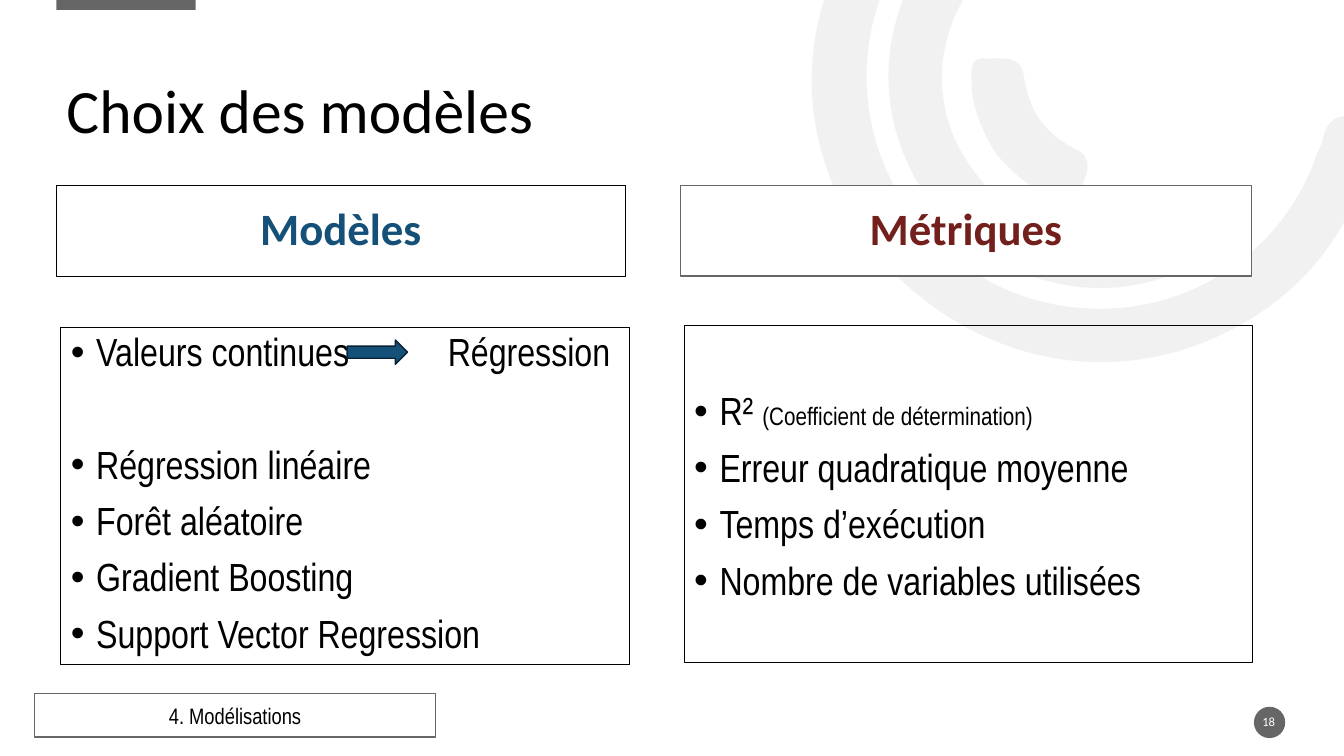
from lxml.etree import SubElement
from pptx import Presentation
from pptx.dml.color import RGBColor
from pptx.enum.shapes import MSO_SHAPE
from pptx.enum.text import MSO_ANCHOR, MSO_AUTO_SIZE, PP_ALIGN
from pptx.oxml.ns import qn
from pptx.util import Cm, Pt

CM_PER_INCH = 2.54
GREY = "666666"
BLUE = "155078"
BLACK = "000000"
WHITE = "FFFFFF"


def color(value):
    return RGBColor.from_string(value)


def add_run(paragraph, text, size, name, value, bold=False):
    run = paragraph.add_run()
    run.text = text
    run.font.size = Pt(size)
    run.font.name = name
    run.font.bold = bold
    run.font.color.rgb = color(value)


presentation = Presentation()
presentation.slide_width = Cm(33.87)
presentation.slide_height = Cm(19.05)
slide = presentation.slides.add_slide(presentation.slide_layouts[4])
title, models_heading, models_list, metrics_heading, metrics_list = slide.placeholders

swirls = [
    ((8.51, 2.29), [
        (7.99, 1.49, 7.87, 0.5, 8.38, -0.5),
        (8.9, -1.52, 9.76, -2.03, 10.9, -2.07),
        (11.05, -2.07, 11.21, -2.1, 11.31, -1.95),
        (11.44, -1.75, 11.27, -1.54, 10.98, -1.54),
        (9.67, -1.54, 8.65, -0.59, 8.6, 0.68),
        (8.56, 1.81, 9.36, 2.81, 10.46, 3.02),
        (11.6, 3.24, 12.7, 2.61, 13.07, 1.52),
        (13.09, 1.48, 13.11, 1.44, 13.12, 1.4),
        (13.16, 1.19, 13.27, 1.11, 13.49, 1.17),
        (13.73, 1.24, 13.67, 1.41, 13.61, 1.56),
        (13.34, 2.45, 12.78, 3.07, 11.91, 3.41),
        (10.7, 3.87, 9.36, 3.45, 8.51, 2.29),
    ]),
    ((9.22, 1.99), [
        (8.62, 1.15, 8.69, 0.07, 9.4, -0.68),
        (9.51, -0.79, 9.62, -0.95, 9.8, -0.78),
        (9.95, -0.64, 9.97, -0.5, 9.79, -0.32),
        (9.25, 0.26, 9.2, 1.08, 9.65, 1.68),
        (10.08, 2.29, 10.88, 2.49, 11.61, 2.15),
        (11.82, 2.05, 11.93, 2.12, 12.03, 2.29),
        (12.13, 2.5, 11.97, 2.56, 11.83, 2.63),
        (10.96, 3.1, 9.83, 2.82, 9.22, 1.99),
    ]),
    ((9.87, 1.51), [
        (9.75, 1.3, 9.64, 1.07, 9.64, 0.82),
        (9.64, 0.73, 9.61, 0.57, 9.76, 0.58),
        (9.92, 0.59, 10.13, 0.53, 10.16, 0.76),
        (10.21, 1.1, 10.36, 1.32, 10.67, 1.48),
        (10.88, 1.57, 10.76, 1.76, 10.72, 1.89),
        (10.68, 2.06, 10.55, 1.98, 10.45, 1.94),
        (10.21, 1.87, 10.03, 1.7, 9.87, 1.51),
    ]),
]
for start, curves in swirls:
    corners = [[Cm(value * CM_PER_INCH) for value in point] for point in [start] + [curve[4:] for curve in curves]]
    builder = slide.shapes.build_freeform(*corners[0])
    builder.add_line_segments(corners[1:], close=True)
    swirl = builder.convert_to_shape()
    segments = list(swirl.element.iter(qn("a:lnTo")))
    for segment, curve in zip(segments, curves):
        segment.tag = qn("a:cubicBezTo")
        for index, (x, y) in enumerate((curve[:2], curve[2:4])):
            control = SubElement(segment, qn("a:pt"))
            control.set("x", str(Cm(x * CM_PER_INCH) - swirl.left))
            control.set("y", str(Cm(y * CM_PER_INCH) - swirl.top))
            segment.insert(index, control)
    swirl.shadow.inherit = False
    swirl.fill.solid()
    swirl.fill.fore_color.rgb = color("E7E6E6")
    swirl.line.fill.background()
    fill_color = swirl.element.spPr.find(qn("a:solidFill"))[0]
    SubElement(fill_color, qn("a:alpha"), val="53000")
    title.element.addprevious(swirl.element)

preset_shapes = [
    (MSO_SHAPE.RECTANGLE, 1.42, -0.05, 3.51, 0.3, GREY, None),
    (MSO_SHAPE.OVAL, 31.6, 17.81, 0.79, 0.79, GREY, None),
    (MSO_SHAPE.RIGHT_ARROW, 8.75, 8.57, 1.52, 0.61, BLUE, "092335"),
    (MSO_SHAPE.RECTANGLE, 0.87, 17.48, 10.11, 1.09, WHITE, GREY),
]
for kind, left, top, width, height, fill, line in preset_shapes:
    shape = slide.shapes.add_shape(kind, Cm(left), Cm(top), Cm(width), Cm(height))
    shape.shadow.inherit = False
    shape.fill.solid()
    shape.fill.fore_color.rgb = color(fill)
    if line:
        shape.line.color.rgb = color(line)
        shape.line.width = Pt(1)
    else:
        shape.line.fill.background()
section_label = shape

page_number = slide.shapes.add_textbox(Cm(31.57), Cm(17.93), Cm(0.81), Cm(0.51))
frame = page_number.text_frame
frame.margin_left = frame.margin_right = frame.margin_top = frame.margin_bottom = 0

metrics_heading.fill.solid()
metrics_heading.fill.fore_color.rgb = color(WHITE)

placements = [
    (title, 1.42, 1.02, 30.1, 3.68, None, None),
    (models_heading, 1.42, 4.67, 14.34, 2.29, BLACK, 0.75),
    (metrics_heading, 17.15, 4.67, 14.39, 2.29, GREY, 1),
    (models_list, 1.53, 8.26, 14.33, 8.48, BLACK, 0.75),
    (metrics_list, 17.24, 8.2, 14.33, 8.5, BLACK, 0.75),
]
for shape, left, top, width, height, line, line_width in placements:
    shape.left, shape.top = Cm(left), Cm(top)
    shape.width, shape.height = Cm(width), Cm(height)
    if line:
        shape.line.color.rgb = color(line)
        shape.line.width = Pt(line_width)

single_lines = [
    (title, "Choix des modèles", 44, "Calibri", BLACK, False, PP_ALIGN.LEFT, 0.9),
    (models_heading, "Modèles", 32, "Calibri", BLUE, True, PP_ALIGN.CENTER, 0.9),
    (metrics_heading, "Métriques", 32, "Calibri", "731F1C", True, PP_ALIGN.CENTER, 0.9),
    (section_label, "4. Modélisations", 16, "Arial Narrow", BLACK, False, PP_ALIGN.CENTER, 1.0),
    (page_number, "18", 9, "Calibri", WHITE, False, PP_ALIGN.CENTER, 1.0),
]
for shape, text, size, name, value, bold, alignment, spacing in single_lines:
    frame = shape.text_frame
    frame.word_wrap = True
    frame.auto_size = MSO_AUTO_SIZE.NONE
    frame.vertical_anchor = MSO_ANCHOR.MIDDLE
    paragraph = frame.paragraphs[0]
    paragraph.alignment = alignment
    paragraph.line_spacing = spacing
    paragraph.space_before = Pt(0)
    add_run(paragraph, text, size, name, value, bold)

lists = [
    (models_list, 0.13, [
        (0, [("Valeurs continues\tRégression", 28)]),
        (50, [("Régression linéaire", 28)]),
        (10, [("Forêt aléatoire", 28)]),
        (10, [("Gradient Boosting", 28)]),
        (10, [("Support Vector Regression", 28)]),
    ]),
    (metrics_list, 1.68, [
        (0, [("R² ", 28), ("(Coefficient de détermination)", 18)]),
        (10, [("Erreur quadratique moyenne", 28)]),
        (10, [("Temps d’exécution", 28)]),
        (10, [("Nombre de variables utilisées", 28)]),
    ]),
]
for shape, margin_top, items in lists:
    frame = shape.text_frame
    frame.word_wrap = True
    frame.auto_size = MSO_AUTO_SIZE.NONE
    frame.vertical_anchor = MSO_ANCHOR.TOP
    frame.margin_top = Cm(margin_top)
    for index, (space_before, runs) in enumerate(items):
        paragraph = frame.add_paragraph() if index else frame.paragraphs[0]
        paragraph.line_spacing = 0.9
        paragraph.space_before = Pt(space_before)
        properties = paragraph._p.get_or_add_pPr()
        properties.set("marL", str(Cm(0.64)))
        properties.set("indent", str(Cm(-0.64)))
        SubElement(properties, qn("a:buFont"), typeface="Arial")
        SubElement(properties, qn("a:buChar"), char="•")
        if "\t" in runs[0][0]:
            tabs = SubElement(properties, qn("a:tabLst"))
            SubElement(tabs, qn("a:tab"), pos=str(Cm(9.5)), algn="l")
        for text, size in runs:
            add_run(paragraph, text, size, "Arial Narrow", BLACK)

presentation.save("out.pptx")
